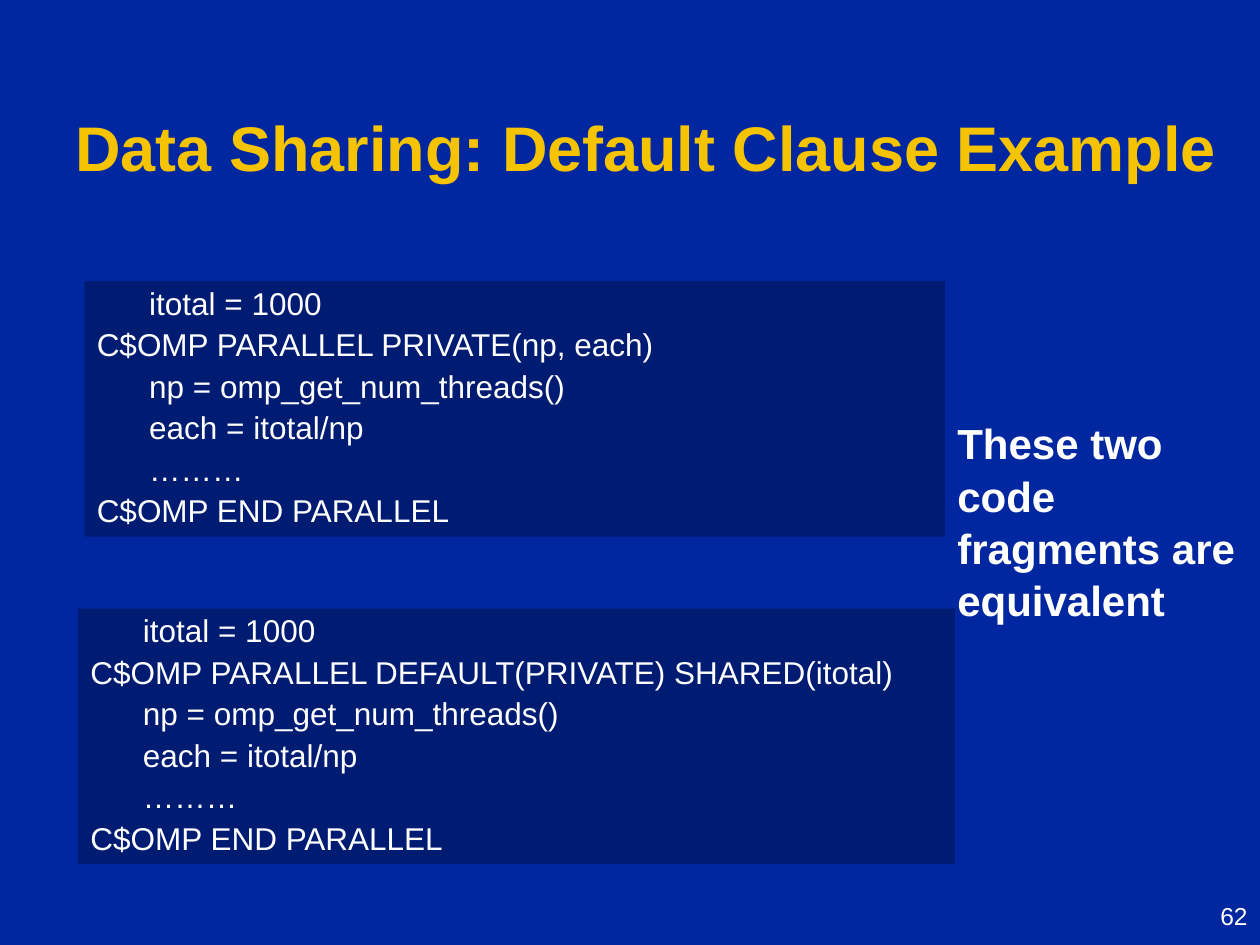
from pptx import Presentation, util as u
from pptx.dml.color import RGBColor
from pptx.enum import shapes, text

OPENING = "      itotal = 1000"
BODY = [
    "      np = omp_get_num_threads()",
    "      each = itotal/np",
    "      ………",
    "C$OMP END PARALLEL",
]


def color(hex_value):
    return RGBColor.from_string(hex_value)


def write(frame, lines, size=18, ink="FFFFFF", bold=False, spacing=None,
          before=0, align=text.PP_ALIGN.LEFT, anchor=text.MSO_ANCHOR.TOP):
    frame.word_wrap = True
    frame.vertical_anchor = anchor
    for index, line in enumerate(lines):
        paragraph = frame.paragraphs[0] if index == 0 else frame.add_paragraph()
        paragraph.alignment = align
        paragraph.line_spacing = spacing
        paragraph.space_before = u.Pt(before if index else 0)
        run = paragraph.add_run()
        run.text = line
        run.font.name = "Arial"
        run.font.size = u.Pt(size)
        run.font.bold = bold
        run.font.color.rgb = color(ink)


class ClauseSlide:
    BACKGROUND = "00279F"
    PANEL = "001B72"
    GOLD = "F5C300"

    def __init__(self, deck):
        self.slide = deck.slides.add_slide(deck.slide_layouts[6])
        fill = self.slide.background.fill
        fill.solid()
        fill.fore_color.rgb = color(self.BACKGROUND)

    def label(self, words, box, **style):
        area = self.slide.shapes.add_textbox(*map(u.Inches, box))
        write(area.text_frame, [words], **style)

    def code(self, directive, box):
        panel = self.slide.shapes.add_shape(
            shapes.MSO_SHAPE.RECTANGLE, *map(u.Inches, box))
        panel.shadow.inherit = False
        panel.fill.solid()
        panel.fill.fore_color.rgb = color(self.PANEL)
        panel.line.fill.background()
        write(panel.text_frame, [OPENING, directive, *BODY], spacing=0.9,
              before=4.3, anchor=text.MSO_ANCHOR.MIDDLE)


def main():
    deck = Presentation()
    deck.slide_width, deck.slide_height = u.Inches(10), u.Inches(7.5)
    page = ClauseSlide(deck)

    # Page number and title
    page.label("62", (7.92, 7.1, 2.08, 0.4), size=14,
               align=text.PP_ALIGN.RIGHT)
    page.label("Data Sharing: Default Clause Example", (0.5, 0.27, 9.29, 1.25),
               size=36, ink=page.GOLD, bold=True, spacing=0.89,
               anchor=text.MSO_ANCHOR.BOTTOM)

    # Equivalent code fragments
    page.code("C$OMP PARALLEL DEFAULT(PRIVATE) SHARED(itotal)",
              (0.62, 4.83, 6.96, 2.03))
    page.code("C$OMP PARALLEL PRIVATE(np, each)", (0.67, 2.23, 6.83, 2.03))

    # Remark beside the code
    page.label("These two code fragments are equivalent",
               (7.5, 3.25, 2.5, 1.7), size=24, bold=True, spacing=1.04)

    deck.save("out.pptx")


if __name__ == "__main__":
    main()
